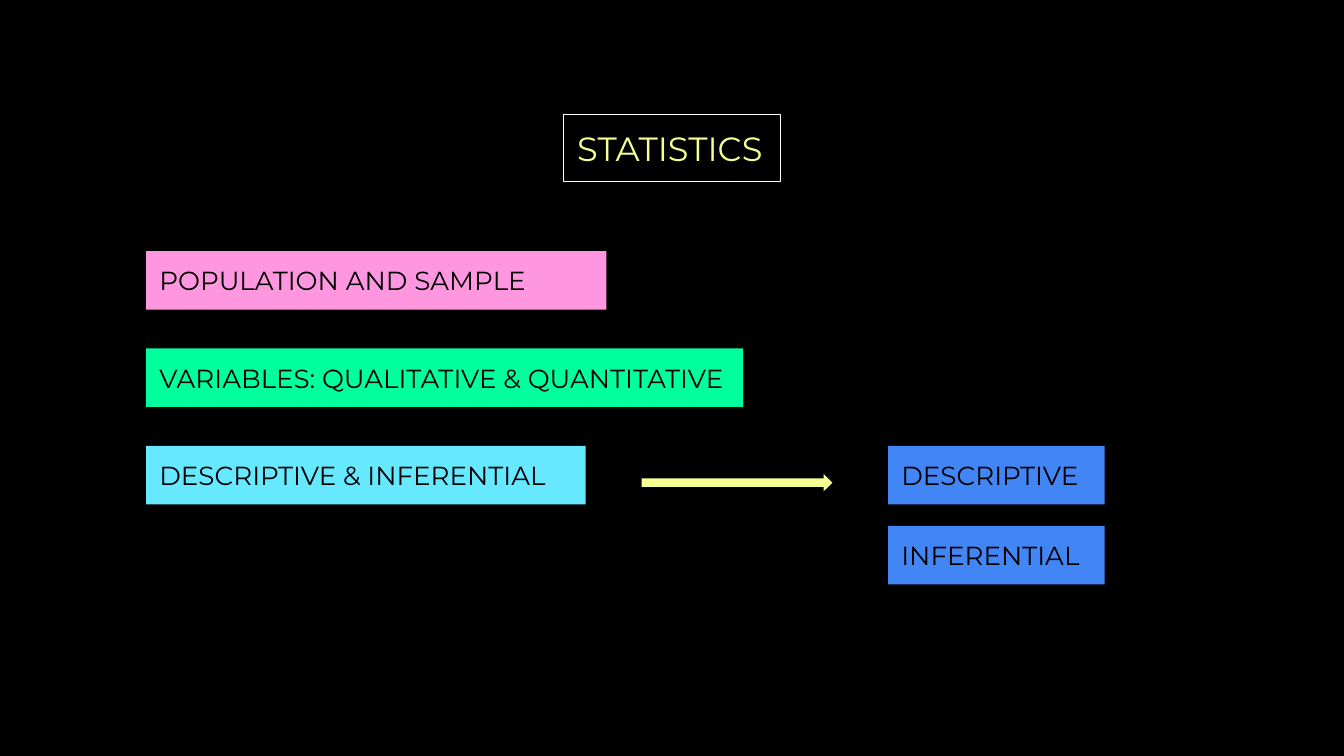
from pptx import Presentation
from pptx.dml.color import RGBColor
from pptx.enum.shapes import MSO_SHAPE
from pptx.enum.text import MSO_ANCHOR, MSO_AUTO_SIZE, PP_ALIGN
from pptx.util import Pt

theme = {
    "font": "Montserrat",
    "head": 18,
    "label": 14,
    "black": RGBColor.from_string("000000"),
    "white": RGBColor.from_string("FFFFFF"),
    "yellow": RGBColor.from_string("F5FF93"),
    "pink": RGBColor.from_string("FF97E0"),
    "green": RGBColor.from_string("00FF9D"),
    "cyan": RGBColor.from_string("66E8FF"),
    "blue": RGBColor.from_string("4285F4"),
}


def write(shape, text, size, color):
    frame = shape.text_frame
    frame.word_wrap = True
    frame.auto_size = MSO_AUTO_SIZE.NONE
    frame.vertical_anchor = MSO_ANCHOR.TOP
    frame.margin_left = frame.margin_right = Pt(7.2)
    frame.margin_top = frame.margin_bottom = Pt(7.2)
    line = frame.paragraphs[0]
    line.alignment = PP_ALIGN.LEFT
    run = line.add_run()
    run.text = text
    run.font.name = theme["font"]
    run.font.size = Pt(size)
    run.font.color.rgb = theme[color]


def block(kind, left, top, width, height, color):
    shape = slide.shapes.add_shape(kind, Pt(left), Pt(top), Pt(width), Pt(height))
    shape.shadow.inherit = False
    shape.fill.solid()
    shape.fill.fore_color.rgb = theme[color]
    shape.line.fill.background()
    return shape


deck = Presentation()
deck.slide_width = Pt(720)
deck.slide_height = Pt(405)
slide = deck.slides.add_slide(deck.slide_layouts[5])
slide.background.fill.solid()
slide.background.fill.fore_color.rgb = theme["black"]

title = slide.shapes.title
title.left, title.top = Pt(302), Pt(61.2)
title.width, title.height = Pt(116), Pt(36)
title.line.color.rgb = theme["white"]
title.line.width = Pt(0.75)
write(title, "STATISTICS", theme["head"], "yellow")

first, step, tall = 134.5, 52.2, 31.4
last = first + 2 * step
topics = [
    ("POPULATION AND SAMPLE", 246.6, "pink"),
    ("VARIABLES: QUALITATIVE & QUANTITATIVE", 319.8, "green"),
    ("DESCRIPTIVE & INFERENTIAL", 235.5, "cyan"),
]
for row, (text, width, color) in enumerate(topics):
    shape = block(MSO_SHAPE.RECTANGLE, 78.3, first + row * step, width, tall, color)
    write(shape, text, theme["label"], "black")

for row, text in enumerate(["DESCRIPTIVE", "INFERENTIAL"]):
    shape = block(MSO_SHAPE.RECTANGLE, 475.8, last + row * 42.8, 116, tall, "blue")
    write(shape, text, theme["label"], "black")

arrow = block(MSO_SHAPE.DOWN_ARROW, 390.2, 207.5, 9.2, 102.2, "yellow")
arrow.rotation = 270

deck.save("out.pptx")
